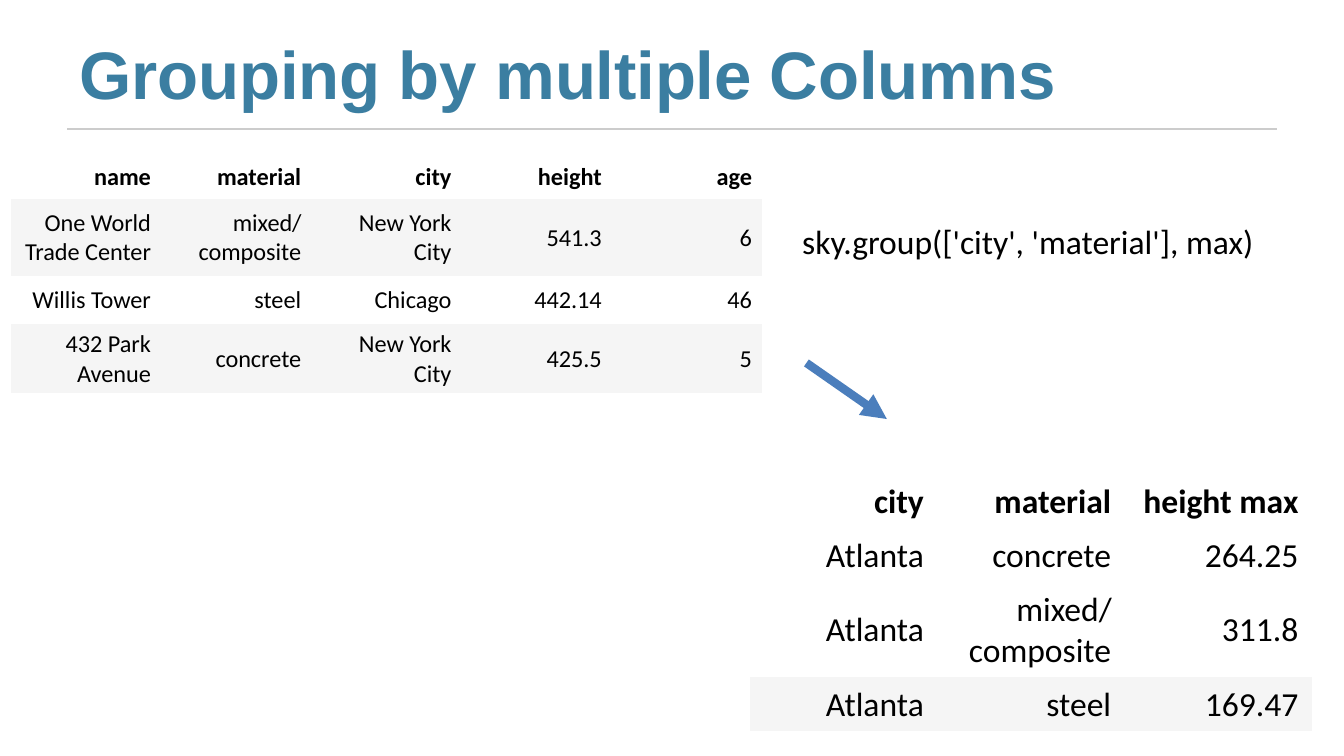
import pptx
import pptx.util
import pptx.dml.color
import pptx.enum.shapes
import pptx.enum.text
import pptx.oxml.ns
import pptx.oxml.xmlchemy
from pptx.util import Cm

COLORS = {
    "title": "3B7EA1",
    "text": "000000",
    "rule": "CCCCCC",
    "arrow": "4B7EBC",
    "plain": "FFFFFF",
    "band": "F5F5F5",
}
NO_GRID_STYLE = "{2D5ABB26-0587-4C30-8999-92F81FD0307C}"

SKYSCRAPERS = [
    ["name", "material", "city", "height", "age"],
    ["One World Trade Center", "mixed/composite", "New York City", "541.3", "6"],
    ["Willis Tower", "steel", "Chicago", "442.14", "46"],
    ["432 Park Avenue", "concrete", "New York City", "425.5", "5"],
]
GROUPED = [
    ["city", "material", "height max"],
    ["Atlanta", "concrete", "264.25"],
    ["Atlanta", "mixed/composite", "311.8"],
    ["Atlanta", "steel", "169.47"],
]


def rgb(name):
    return pptx.dml.color.RGBColor.from_string(COLORS[name])


def format_run(r, size, color="text", bold=False, font="Calibri"):
    r.font.name = font
    r.font.size = pptx.util.Pt(size)
    r.font.bold = bold
    r.font.color.rgb = rgb(color)


def add_text(s, text, left, top, width, height, margins, **style):
    tf = s.shapes.add_textbox(Cm(left), Cm(top), Cm(width), Cm(height)).text_frame
    tf.word_wrap = True
    tf.margin_left = tf.margin_right = Cm(margins[0])
    tf.margin_top = tf.margin_bottom = Cm(margins[1])
    tf.text = text
    p = tf.paragraphs[0]
    format_run(p.runs[0], **style)
    return p


def add_line(s, x1, y1, x2, y2, color, width, arrow=False):
    line = s.shapes.add_connector(
        pptx.enum.shapes.MSO_CONNECTOR.STRAIGHT, Cm(x1), Cm(y1), Cm(x2), Cm(y2))
    line.line.color.rgb = rgb(color)
    line.line.width = pptx.util.Pt(width)
    if arrow:
        tail = pptx.oxml.xmlchemy.OxmlElement("a:tailEnd")
        tail.set("type", "triangle")
        line._element.spPr.find(pptx.oxml.ns.qn("a:ln")).append(tail)
    line._element.spPr.append(pptx.oxml.xmlchemy.OxmlElement("a:effectLst"))


def add_data_table(s, rows, left, top, col_width, row_heights, size, margins, banded):
    cols = len(rows[0])
    table = s.shapes.add_table(
        len(rows), cols, Cm(left), Cm(top),
        Cm(col_width * cols), Cm(sum(row_heights))).table
    table.first_row = table.horz_banding = False
    style = table._tbl.tblPr.find(pptx.oxml.ns.qn("a:tableStyleId"))
    style.text = NO_GRID_STYLE
    for column in table.columns:
        column.width = Cm(col_width)
    for i, values in enumerate(rows):
        table.rows[i].height = Cm(row_heights[i])
        for j, value in enumerate(values):
            cell = table.cell(i, j)
            cell.fill.solid()
            cell.fill.fore_color.rgb = rgb("band" if i in banded else "plain")
            cell.vertical_anchor = pptx.enum.text.MSO_ANCHOR.MIDDLE
            cell.margin_left = cell.margin_right = Cm(margins[0])
            cell.margin_top = cell.margin_bottom = Cm(margins[1])
            cell.text = value
            p = cell.text_frame.paragraphs[0]
            p.alignment = pptx.enum.text.PP_ALIGN.RIGHT
            format_run(p.runs[0], size, bold=i == 0)


def main():
    prs = pptx.Presentation()
    prs.slide_width, prs.slide_height = Cm(25.4), Cm(14.29)
    s = prs.slides.add_slide(prs.slide_layouts[6])

    # Title and rule
    add_line(s, 1.27, 2.44, 24.13, 2.44, "rule", 0.75)
    p = add_text(s, "Grouping by multiple Columns", 1.48, 0.58, 21.18, 1.57,
                 (0.03, 0.03), size=36, color="title", bold=True, font="Arial")
    p.space_before = pptx.util.Pt(1)
    p.runs[0].font._element.set("spc", "-10")

    # Source table
    add_data_table(s, SKYSCRAPERS, 0.2, 2.92, 2.84, [0.85, 1.45, 0.91, 1.2],
                   13, (0.19, 0.1), banded=(1, 3))

    # Grouping step
    add_line(s, 15.24, 6.86, 16.76, 7.92, "arrow", 4.5, arrow=True)
    add_text(s, "sky.group(['city', 'material'], max)", 14.91, 4.04, 9.19, 1.02,
             (0.25, 0.13), size=18)

    # Grouped table
    add_data_table(s, GROUPED, 14.17, 8.97, 3.54, [1.02, 1.02, 1.78, 1.02],
                   18, (0.25, 0.13), banded=(3,))

    prs.save("out.pptx")


main()
